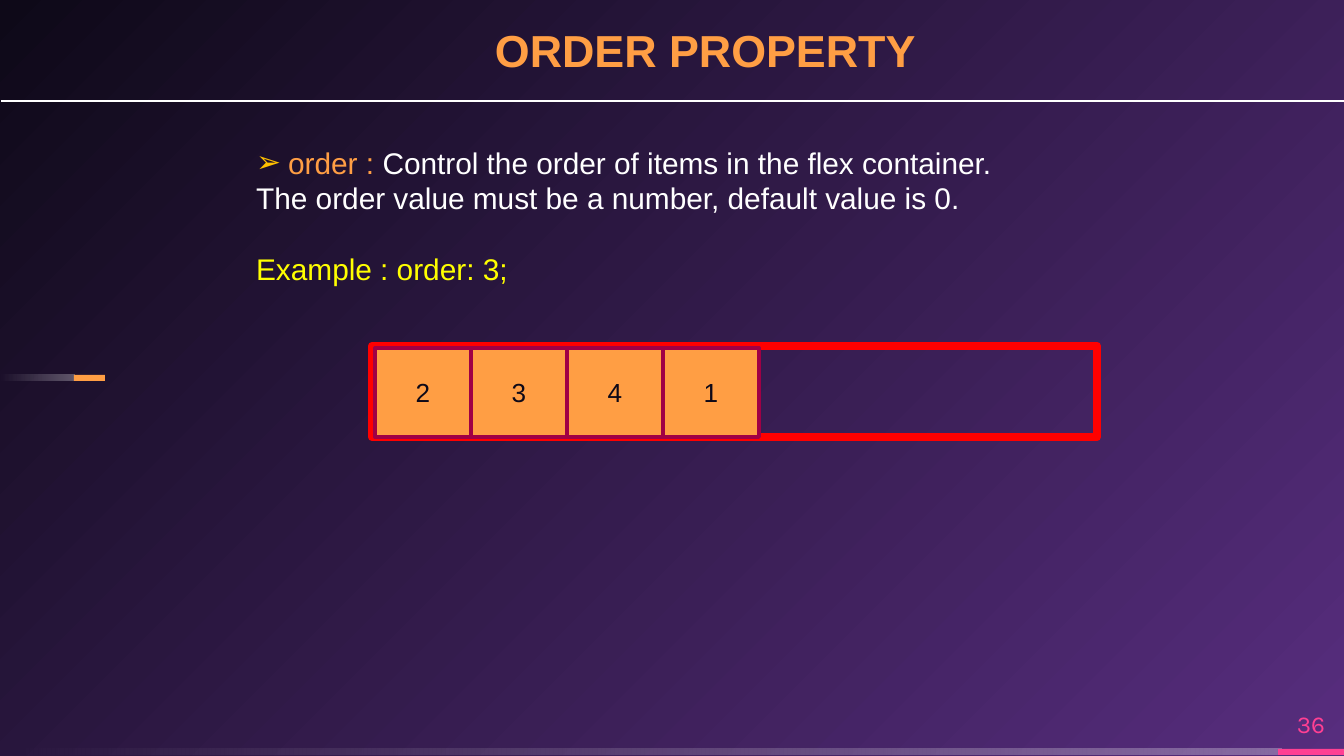
"""Build the slide on the flex order property."""
from lxml.etree import SubElement
from pptx import Presentation
from pptx.dml.color import RGBColor
from pptx.enum.shapes import MSO_CONNECTOR, MSO_SHAPE
from pptx.enum.text import MSO_ANCHOR, PP_ALIGN
from pptx.oxml.ns import qn
from pptx.util import Pt

PX = 914400 / 134.4
WHITE = RGBColor(255, 255, 255)
ORANGE = RGBColor(0xFF, 0x9E, 0x44)
PINK = RGBColor(0xFF, 0x40, 0x93)
YELLOW = RGBColor(255, 255, 0)
RED = RGBColor(255, 0, 0)
WINE = RGBColor(0xA0, 0x00, 0x45)
DARK = RGBColor(0x0E, 0x09, 0x18)
PURPLE = RGBColor(0x57, 0x2D, 0x7E)


def add_box(kind, left, top, width, height, fill=None, line=None, weight=0):
    area = [round(v * PX) for v in (left, top, width, height)]
    if kind is None:
        box = slide.shapes.add_textbox(*area)
    else:
        box = slide.shapes.add_shape(kind, *area)
        box.shadow.inherit = False
        if fill is None:
            box.fill.background()
        else:
            box.fill.solid()
            box.fill.fore_color.rgb = fill
        if line is None:
            box.line.fill.background()
        else:
            box.line.color.rgb = line
            box.line.width = Pt(weight)
    box.text_frame.word_wrap = True
    return box


def add_run(para, text, size, color, font="Arial", bold=False):
    run = para.add_run()
    run.text = text
    run.font.size = Pt(size)
    run.font.name = font
    run.font.bold = bold
    run.font.color.rgb = color


deck = Presentation()
deck.slide_width, deck.slide_height = round(1344 * PX), round(756 * PX)
slide = deck.slides.add_slide(deck.slide_layouts[6])

back = slide.background.fill
back.gradient()
for stop, color, place in zip(back.gradient_stops, (PURPLE, DARK), (0, 1)):
    stop.color.rgb = color
    stop.position = place
grad = slide.background._cSld.find(".//" + qn("a:gradFill"))
grad.remove(grad.find(qn("a:lin")))
round_fill = SubElement(grad, qn("a:path"), {"path": "circle"})
SubElement(round_fill, qn("a:fillToRect"), {"l": "100000", "t": "100000"})

for top, wide, start, tip, color in (
    (749, 1282, 1278, 66, PINK),
    (375, 75, 74, 31, ORANGE),
):
    fade = add_box(MSO_SHAPE.RECTANGLE, 0, top, wide, 6)
    fade.fill.gradient()
    fade.fill.gradient_angle = 180
    for stop, place, alpha in zip(fade.fill.gradient_stops, (0, 1), (30000, 0)):
        stop.color.rgb = WHITE
        stop.position = place
    for tint, alpha in zip(fade._element.iter(qn("a:srgbClr")), (30000, 0)):
        SubElement(tint, qn("a:alpha"), {"val": str(alpha)})
    add_box(MSO_SHAPE.RECTANGLE, start, top, tip, 6, color)

title = add_box(None, 495, 19, 525, 58).text_frame
number = add_box(None, 1278, 698, 66, 51).text_frame
for frame in (title, number):
    frame.margin_left = frame.margin_right = 0
    frame.margin_top = frame.margin_bottom = 0
title.vertical_anchor = MSO_ANCHOR.BOTTOM
add_run(title.paragraphs[0], "ORDER PROPERTY", 24, ORANGE, bold=True)
number.vertical_anchor = MSO_ANCHOR.MIDDLE
number.paragraphs[0].alignment = PP_ALIGN.CENTER
add_run(number.paragraphs[0], "36", 13, PINK, "Karla")

body = add_box(None, 243, 138, 961, 159).text_frame
first, second, third = body.paragraphs[0], body.add_paragraph(), body.add_paragraph()
for para in (first, second, third):
    para.line_spacing = Pt(19)
third.space_before = Pt(19)
add_run(first, "order : ", 16, ORANGE)
add_run(first, "Control the order of items in the flex container.", 16, WHITE)
add_run(second, "The order value must be a number, default value is 0.", 16, WHITE)
add_run(third, "Example : order: 3;", 16, YELLOW)
props = first._p.get_or_add_pPr()
props.set("marL", str(round(32 * PX)))
props.set("indent", str(round(-32 * PX)))
tint = SubElement(props, qn("a:buClr"))
SubElement(tint, qn("a:srgbClr"), {"val": "FFC000"})
SubElement(props, qn("a:buFont"), {"typeface": "Arial"})
SubElement(props, qn("a:buChar"), {"char": "➢"})

ends = [round(v * PX) for v in (1, 101, 1344, 101)]
rule = slide.shapes.add_connector(MSO_CONNECTOR.STRAIGHT, *ends)
rule.line.color.rgb = WHITE
rule.line.width = Pt(0.75)
SubElement(rule._element.spPr, qn("a:effectLst"))

add_box(MSO_SHAPE.FLOWCHART_PROCESS, 372, 346, 725, 91, None, RED, 4.5)
for i, label in enumerate("2341"):
    item = add_box(MSO_SHAPE.FLOWCHART_PROCESS, 375 + 96 * i, 348, 96, 89, ORANGE, WINE, 2)
    item.text_frame.vertical_anchor = MSO_ANCHOR.MIDDLE
    para = item.text_frame.paragraphs[0]
    para.alignment = PP_ALIGN.CENTER
    add_run(para, label, 14, DARK)

deck.save("out.pptx")
